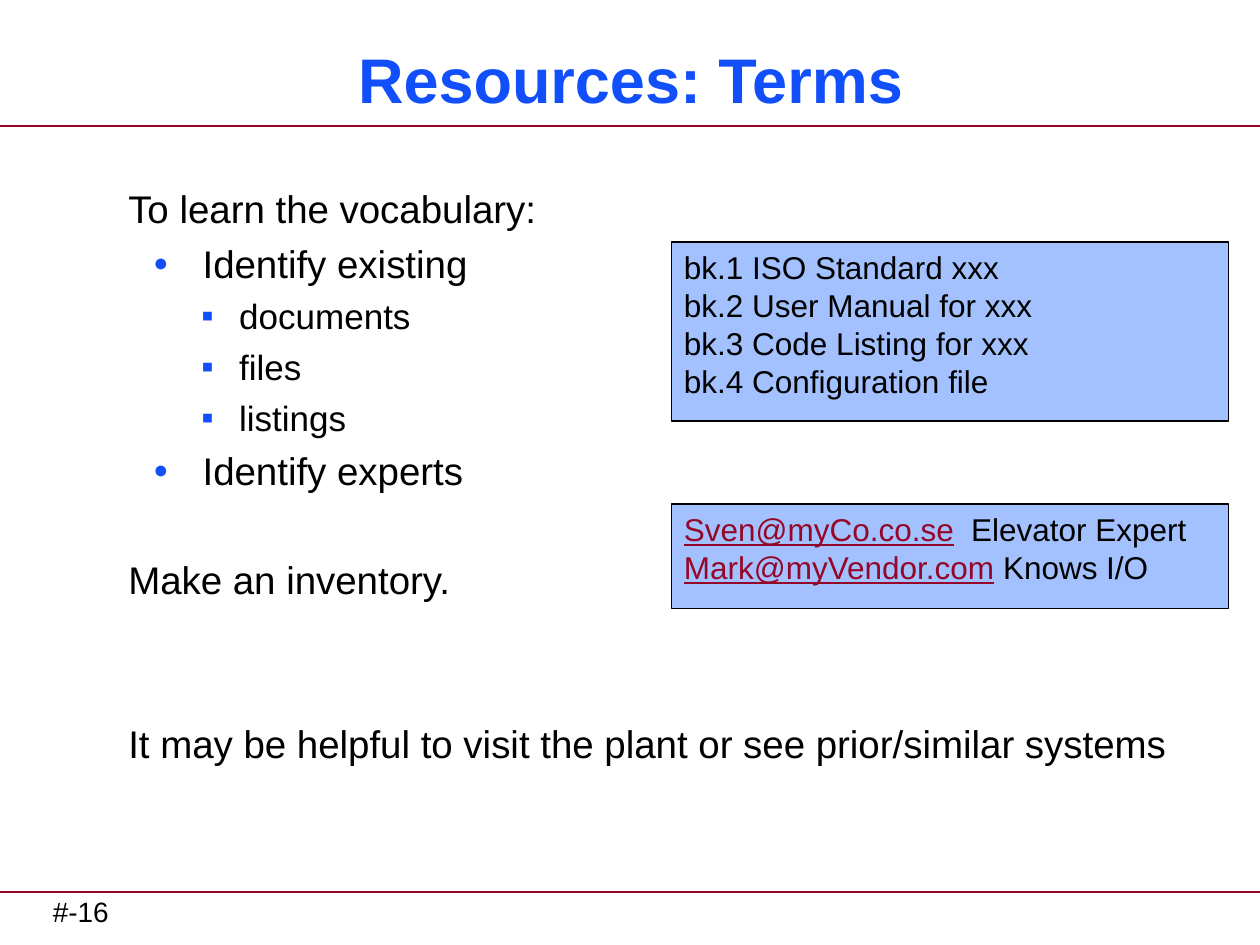
import pptx
import pptx.dml.color
import pptx.enum.shapes
import pptx.enum.text
import pptx.oxml
import pptx.oxml.ns
import pptx.util
from lxml import etree

Inches, Pt = pptx.util.Inches, pptx.util.Pt
RGBColor = pptx.dml.color.RGBColor
ALIGN, ANCHOR = pptx.enum.text.PP_ALIGN, pptx.enum.text.MSO_ANCHOR
qn = pptx.oxml.ns.qn

BLACK = RGBColor(0x00, 0x00, 0x00)
BLUE = RGBColor(0x11, 0x4F, 0xFB)
CRIMSON = RGBColor(0x95, 0x07, 0x28)
PALE_BLUE = RGBColor(0xA2, 0xC1, 0xFE)

TITLE = "Resources: Terms"
PAGE = "#-16"
# (text, level, points before)
BODY = [
    ("To learn the vocabulary:", 0, 0),
    ("Identify existing", 1, 5),
    ("documents", 2, 5),
    ("files", 2, 5),
    ("listings", 2, 5),
    ("Identify experts", 1, 5),
    ("Make an inventory.", 0, 36),
    ("It may be helpful to visit the plant or see prior/similar systems", 0, 67),
]
# level: (size, left margin, indent, bullet, bullet percent)
LEVELS = {
    0: (22, 0, 0, None, None),
    1: (22, 0.59, -0.39, "●", 65),
    2: (20, 0.88, -0.3, "▪", 100),
}
DOCUMENTS = [
    "bk.1 ISO Standard xxx",
    "bk.2 User Manual for xxx",
    "bk.3 Code Listing for xxx",
    "bk.4 Configuration file",
]
# (address, separator, role)
EXPERTS = [
    ("Sven@myCo.co.se", "\t", "Elevator Expert"),
    ("Mark@myVendor.com", " ", "Knows I/O"),
]
ROLE_TAB = 2.28
RULES_Y = (1, 7.08)
BOX_X, BOX_W = 5.33, 4.42


def add_run(p, text, size=18, color=BLACK, bold=False, underline=False):
    r = p.add_run()
    r.text = text
    r.font.name = "Arial"
    r.font.size = Pt(size)
    r.font.color.rgb = color
    r.font.bold = bold
    r.font.underline = underline


def next_paragraph(tf):
    """Return the empty first paragraph, or a new one after it."""
    p = tf.paragraphs[0]
    return tf.add_paragraph() if p.runs else p


def add_text_box(s, x, y, w, h):
    tf = s.shapes.add_textbox(Inches(x), Inches(y), Inches(w), Inches(h)).text_frame
    tf.word_wrap = True
    return tf


def add_rule(s, y):
    line = s.shapes.add_connector(
        pptx.enum.shapes.MSO_CONNECTOR.STRAIGHT, 0, Inches(y), Inches(10), Inches(y))
    line.line.color.rgb = CRIMSON
    line.line.width = Pt(1.5)
    etree.SubElement(line._element.spPr, qn("a:effectLst"))


def add_panel(s, y, h):
    sp = s.shapes.add_shape(
        pptx.enum.shapes.MSO_SHAPE.RECTANGLE,
        Inches(BOX_X), Inches(y), Inches(BOX_W), Inches(h))
    sp.shadow.inherit = False
    sp.fill.solid()
    sp.fill.fore_color.rgb = PALE_BLUE
    sp.line.color.rgb = BLACK
    sp.line.width = Pt(1)
    tf = sp.text_frame
    tf.word_wrap = True
    tf.vertical_anchor = ANCHOR.TOP
    return tf


def set_level(p, level):
    """Set the margins and bullet of a level and return its text size."""
    size, margin, indent, bullet, percent = LEVELS[level]
    pPr = p._p.get_or_add_pPr()
    pPr.set("lvl", str(level))
    pPr.set("marL", str(Inches(margin)))
    pPr.set("indent", str(Inches(indent)))
    if bullet:
        color = etree.SubElement(pPr, qn("a:buClr"))
        etree.SubElement(color, qn("a:srgbClr"), val=str(BLUE))
        etree.SubElement(pPr, qn("a:buSzPct"), val=str(percent * 1000))
        etree.SubElement(pPr, qn("a:buFont"), typeface="Arial")
        etree.SubElement(pPr, qn("a:buChar"), char=bullet)
    else:
        etree.SubElement(pPr, qn("a:buNone"))
    return size


def main():
    prs = pptx.Presentation()
    prs.slide_width, prs.slide_height = Inches(10), Inches(7.5)
    s = prs.slides.add_slide(prs.slide_layouts[6])

    for y in RULES_Y:
        add_rule(s, y)

    tf = add_text_box(s, 0.42, 7.05, 4.83, 0.37)
    tf.margin_left = tf.margin_right = 0
    add_run(tf.paragraphs[0], PAGE, size=16)

    tf = add_text_box(s, 0.17, 0.25, 9.67, 0.75)
    tf.vertical_anchor = ANCHOR.MIDDLE
    tf.paragraphs[0].alignment = ALIGN.CENTER
    add_run(tf.paragraphs[0], TITLE, size=36, color=BLUE, bold=True)

    tf = add_text_box(s, 0.92, 1.42, 8.5, 5.33)
    for text, level, before in BODY:
        p = next_paragraph(tf)
        size = set_level(p, level)
        if before:
            p.space_before = Pt(before)
        add_run(p, text, size=size)

    tf = add_panel(s, 1.92, 1.42)
    for text in DOCUMENTS:
        p = next_paragraph(tf)
        p.alignment = ALIGN.LEFT
        add_run(p, text)

    tf = add_panel(s, 4, 0.83)
    for address, separator, role in EXPERTS:
        p = next_paragraph(tf)
        p.alignment = ALIGN.LEFT
        tabs = etree.SubElement(p._p.get_or_add_pPr(), qn("a:tabLst"))
        etree.SubElement(tabs, qn("a:tab"), pos=str(Inches(ROLE_TAB)), algn="l")
        add_run(p, address, color=CRIMSON, underline=True)
        add_run(p, separator + role)

    prs.save("out.pptx")


if __name__ == "__main__":
    main()
